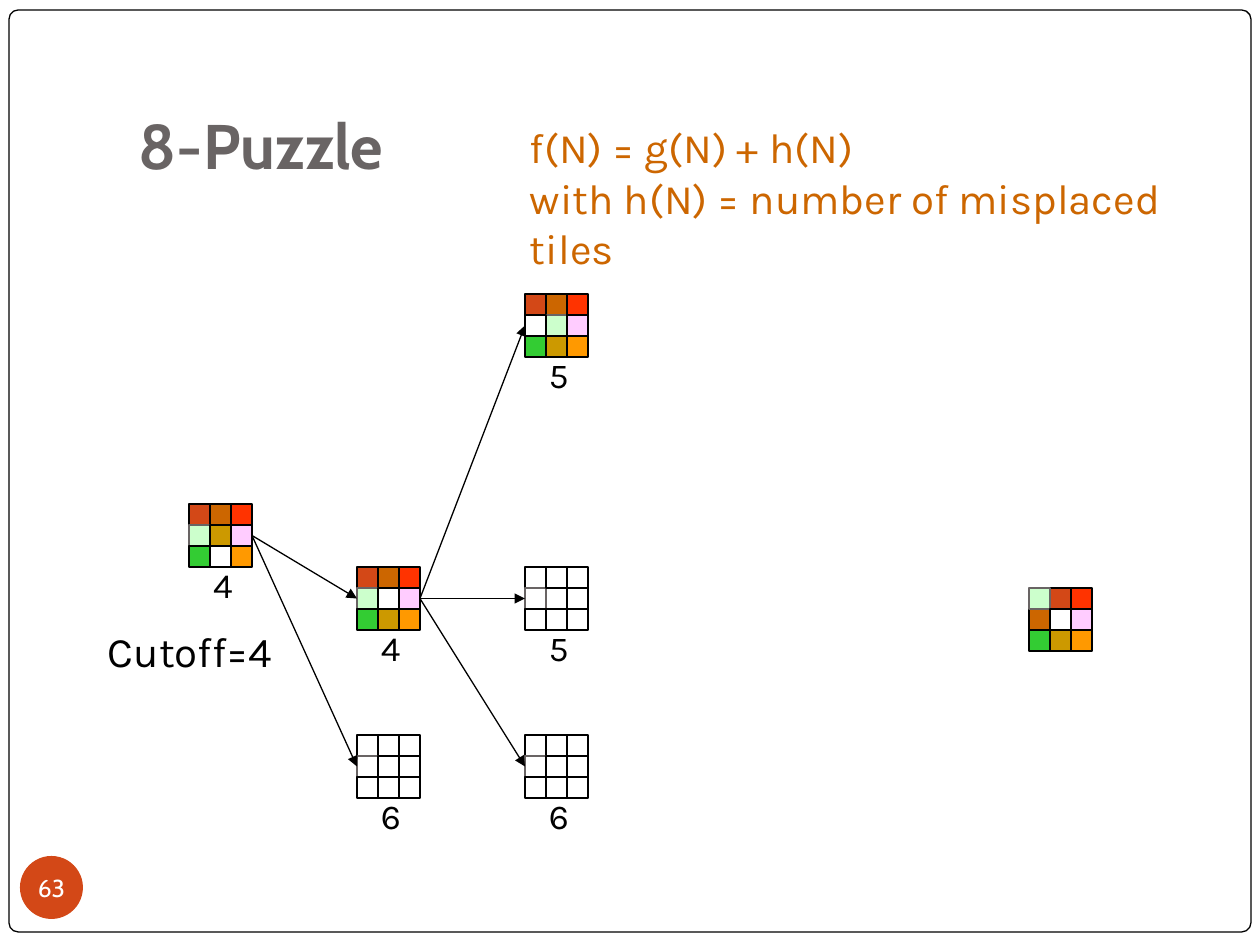
from lxml.etree import SubElement
from pptx import Presentation
from pptx.dml.color import RGBColor
from pptx.enum.shapes import MSO_CONNECTOR, MSO_SHAPE
from pptx.enum.text import MSO_ANCHOR, MSO_AUTO_SIZE, PP_ALIGN
from pptx.oxml.ns import qn
from pptx.util import Pt

SCALE = 914400 / 126
TILE = 21
BLACK, WHITE, GREY, ORANGE = "000000", "FFFFFF", "696464", "CC6600"

TILES = {
    "A": "D34817", "B": ORANGE, "C": "CCFFCC", "D": "CC9900", "E": "FFCCFF",
    "F": "33CC33", "G": WHITE, "H": "FF9900", "I": "FF3300",
}
HIDDEN = dict.fromkeys(TILES, WHITE)

BOARDS = {
    "start": (189, 504, "ABI CDE FGH", TILES, "4"),
    "goal": (1029, 588, "CAI BGE FDH", TILES, None),
    "up": (357, 567, "ABI CGE FDH", TILES, "4"),
    "side": (357, 735, "ABI CDE FHG", HIDDEN, "6"),
    "down": (525, 735, "ABI CED FGH", HIDDEN, "6"),
    "right": (525, 567, "AGI CBE FDH", HIDDEN, "5"),
    "left": (525, 294, "ABI GCE FDH", TILES, "5"),
}
MOVES = [("start", "up"), ("start", "side"), ("up", "down"),
         ("up", "right"), ("up", "left")]


def px(*values):
    return [round(v * SCALE) for v in values]


def rgb(color):
    return RGBColor.from_string(color)


def write(sp, *lines, size, color, font="Karla", bold=False, align=PP_ALIGN.LEFT,
          anchor=MSO_ANCHOR.TOP, insets=(13, 6, 13, 6), wrap=True):
    tf = sp.text_frame
    tf.auto_size = MSO_AUTO_SIZE.NONE
    tf.word_wrap = wrap
    tf.vertical_anchor = anchor
    tf.margin_left, tf.margin_top, tf.margin_right, tf.margin_bottom = px(*insets)
    for i, line in enumerate(lines):
        p = tf.add_paragraph() if i else tf.paragraphs[0]
        p.alignment = align
        r = p.add_run()
        r.text = line
        r.font.name, r.font.size, r.font.bold = font, Pt(size), bold
        r.font.color.rgb = rgb(color)


def add_shape(shapes, kind, box, fill, line=None):
    sp = shapes.add_shape(kind, *px(*box))
    sp.shadow.inherit = False
    sp.fill.solid()
    sp.fill.fore_color.rgb = rgb(fill)
    if line:
        sp.line.color.rgb = rgb(line)
        sp.line.width = Pt(0.75)
    else:
        sp.line.fill.background()
    return sp


def add_board(slide, x, y, state, palette, cost):
    shapes = slide.shapes.add_group_shape().shapes
    if cost:
        label = shapes.add_textbox(*px(x + 11, y + 53, 44, 54))
        write(label, cost, size=20, color=BLACK, wrap=False)
    order = state.replace(" ", "")
    cells = {}
    for tile, fill in palette.items():
        row, col = divmod(order.index(tile), 3)
        box = (x + col * TILE, y + row * TILE, TILE, TILE)
        cells[row, col] = add_shape(shapes, MSO_SHAPE.RECTANGLE, box, fill,
                                    GREY if tile == "C" else BLACK)
    return cells


def add_arrow(slide, source, target):
    line = slide.shapes.add_connector(MSO_CONNECTOR.STRAIGHT, 0, 0, 0, 0)
    line.begin_connect(source[1, 2], 3)
    line.end_connect(target[1, 0], 1)
    line.line.color.rgb = rgb(BLACK)
    line.line.width = Pt(0.75)
    SubElement(line.line._get_or_add_ln(), qn("a:tailEnd"), type="triangle")
    SubElement(line._element.spPr, qn("a:effectLst"))


def main():
    prs = Presentation()
    prs.slide_width, prs.slide_height = px(1260, 945)
    s = prs.slides.add_slide(prs.slide_layouts[5])

    frame = add_shape(s.shapes, MSO_SHAPE.ROUNDED_RECTANGLE,
                      (9, 10, 1242, 922), WHITE, BLACK)
    frame.adjustments[0] = 0.01
    title = s.shapes.title
    s.shapes._spTree.append(title._element)
    title.left, title.top, title.width, title.height = px(126, 38, 1071, 157)
    write(title, "8-Puzzle", size=36, color=GREY, font="Cabin", bold=True,
          anchor=MSO_ANCHOR.BOTTOM, insets=(13, 6, 13, 13))

    badge = add_shape(s.shapes, MSO_SHAPE.OVAL, (20, 856, 63, 63), "D34817")
    write(badge, "63", size=14, color=WHITE, font="Cabin", align=PP_ALIGN.CENTER,
          anchor=MSO_ANCHOR.MIDDLE, insets=(0, 0, 0, 0))

    boards = {name: add_board(s, *board) for name, board in BOARDS.items()}
    for source, target in MOVES:
        add_arrow(s, boards[source], boards[target])

    cutoff = s.shapes.add_textbox(*px(95, 620, 192, 63))
    write(cutoff, "Cutoff=4", size=24, color=BLACK, wrap=False)
    formula = s.shapes.add_textbox(*px(517, 116, 733, 113))
    write(formula, "f(N) = g(N) + h(N)", "with h(N) = number of misplaced tiles",
          size=24, color=ORANGE)

    prs.save("out.pptx")


if __name__ == "__main__":
    main()
